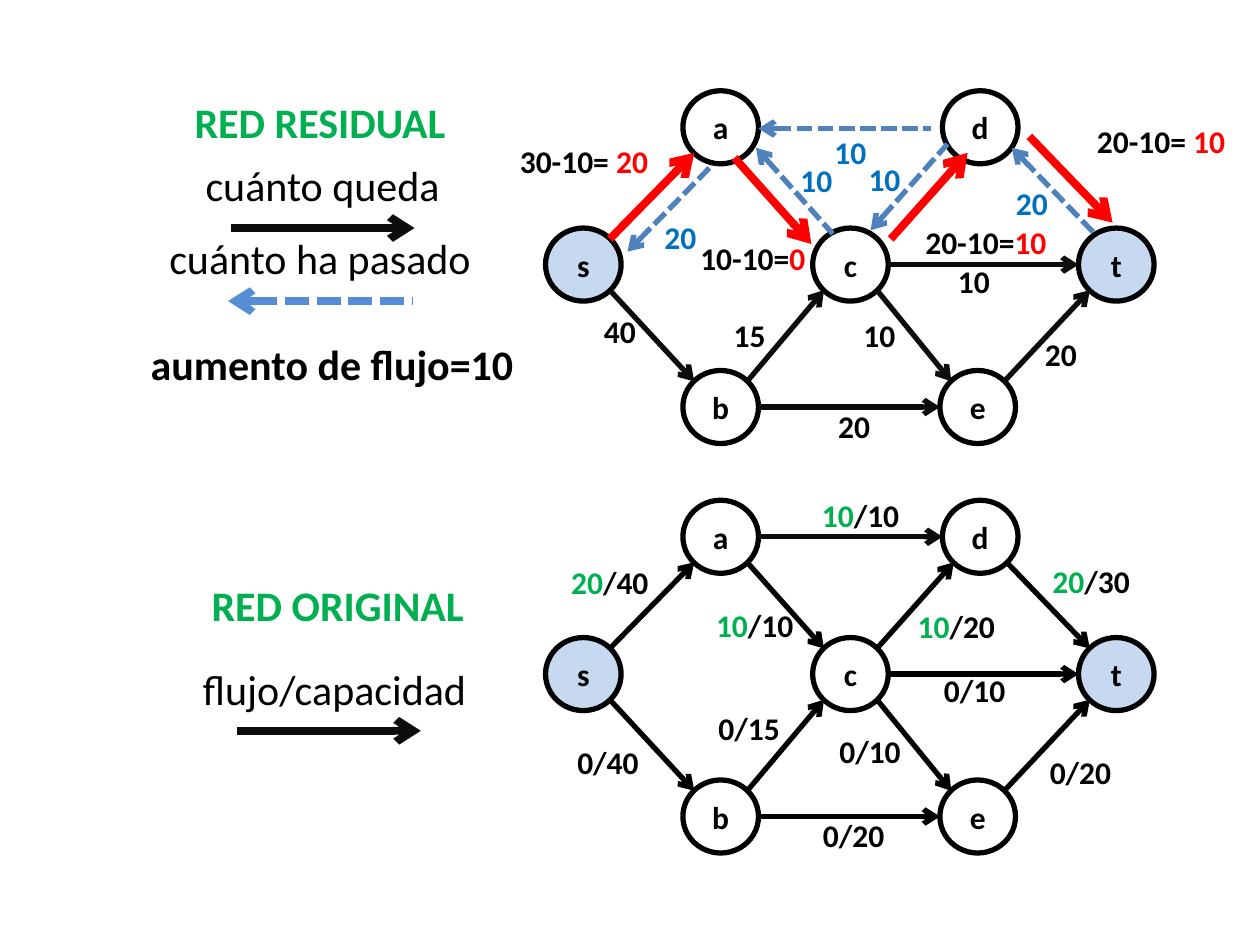
from lxml import etree
from pptx import Presentation, util as u
from pptx.dml.color import RGBColor
from pptx.enum import dml, shapes, text
from pptx.oxml.ns import qn

COLORS = {
    "black": "000000", "ink": "0D0D0D", "green": "00B050", "red": "FF0000",
    "blue": "0070C0", "dash": "4F81BD", "sky": "558ED5", "pale": "C6D9F1",
}
COLUMNS, ROWS = 100, 75
WIDTH, HEIGHT = u.Inches(10), u.Inches(7.5)
NODE_W, NODE_H = 6, 5.8
NODES = {
    "s": (0, 10.9), "b": (10.9, 22.2), "e": (31.3, 22.2), "t": (42.3, 10.9),
    "d": (31.5, 0), "a": (10.9, 0), "c": (21.2, 10.9),
}
LABEL_WIDTHS = {2: 4.6, 4: 6.9, 5: 8.2, 7: 10.5, 8: 11.7, 9: 12.3}

ORIGINAL_EDGES = [(pair, "black", 3, 0, 0) for pair in
                  "sa sb be dt et ct ac ce bc cd".split()] + [("ad", "ink", 3, 0, 0)]
ORIGINAL_LABELS = [
    (20.9, -0.8, "green:10|black:/10"), (1, 4.5, "green:20|black:/40"),
    (39.2, 4.4, "green:20|black:/30"), (12.5, 7.9, "green:10|black:/10"),
    (28.5, 8, "green:10|black:/20"), (30.6, 13.1, "black:0/10"),
    (39, 19.6, "black:0/20"), (1.5, 18.8, "black:0/40"),
    (21, 24.6, "black:0/20"), (12.7, 16.1, "black:0/15"),
    (22.3, 17.9, "black:0/10"),
]
RESIDUAL_EDGES = [(pair, "ink", 3, 0, 0) for pair in "sb be et ct ce bc".split()] + [
    ("sa", "red", 4.5, 0, 0), ("dt", "red", 4.5, 1.8, -1.3),
    ("ac", "red", 4.5, -1, 0.4), ("cd", "red", 4.5, 1.1, 0),
    ("sa", "dash", 3, 1.4, 1), ("dt", "dash", 3, 0.4, -0.4),
    ("ac", "dash", 3, 0.7, -0.4), ("cd", "dash", 3, -0.5, -0.7),
]
RESIDUAL_LABELS = [
    (-3.1, 3.6, "black:30-10= |red:20"), (42.7, 2, "black:20-10= |red:10"),
    (11.2, 11.3, "black:10-10=|red:0"), (29.1, 10, "black:20-10=|red:10"),
    (31.7, 13.1, "black:10"), (38.6, 18.9, "black:20"), (3.6, 17.1, "black:40"),
    (22.2, 24.6, "black:20"), (13.9, 17.4, "black:15"), (24.2, 17.4, "black:10"),
    (8.4, 9.6, "blue:20"), (21.9, 2.9, "blue:10"), (36.3, 6.9, "blue:20"),
    (19.2, 5.1, "blue:10"), (24.6, 5, "blue:10"),
]


def col(count):
    """Turn grid columns into a length."""
    return u.Emu(round(WIDTH * count / COLUMNS))


def row(count):
    """Turn grid rows into a length."""
    return u.Emu(round(HEIGHT * count / ROWS))


def rgb(name):
    """Look up a named colour."""
    return RGBColor.from_string(COLORS[name])


def write(frame, spans, size, bold):
    """Write centred runs given as colour:words parts split by bars."""
    para = frame.paragraphs[0]
    para.alignment = text.PP_ALIGN.CENTER
    for part in spans.split("|"):
        color, words = part.split(":")
        span = para.add_run()
        span.text = words
        span.font.name, span.font.size, span.font.bold = "Calibri", u.Pt(size), bold
        span.font.color.rgb = rgb(color)


def add_text(canvas, left, top, width, height, spans, size=18, bold=True):
    """Place one line of text."""
    box = canvas.add_textbox(col(left), row(top), col(width), row(height))
    box.text_frame.word_wrap = False
    box.text_frame.auto_size = text.MSO_AUTO_SIZE.SHAPE_TO_FIT_TEXT
    write(box.text_frame, spans, size, bold)


def add_arrow(canvas, start, end, color, weight):
    """Draw a solid forward arrow, or a dashed one pointing back to its start."""
    line = canvas.add_connector(shapes.MSO_CONNECTOR.STRAIGHT, col(start[0]), row(start[1]),
                                col(end[0]), row(end[1]))
    line.line.color.rgb, line.line.width = rgb(color), u.Pt(weight)
    backward = color in ("dash", "sky")
    if backward:
        line.line.dash_style = dml.MSO_LINE.SQUARE_DOT
        line.line._ln.find(qn("a:prstDash")).set("val", "sysDash")
    tip = etree.SubElement(line.line._ln, qn("a:headEnd" if backward else "a:tailEnd"))
    tip.set("type", "arrow")
    etree.SubElement(line._element.spPr, qn("a:effectLst"))


def add_node(canvas, left, top, name):
    """Draw a lettered node, tinted for the source and the sink."""
    node = canvas.add_shape(shapes.MSO_SHAPE.OVAL, col(left), row(top), col(NODE_W), row(NODE_H))
    node.shadow.inherit = False
    if name in "st":
        node.fill.solid()
        node.fill.fore_color.rgb = rgb("pale")
    else:
        node.fill.background()
    node.line.color.rgb, node.line.width = rgb("black"), u.Pt(3)
    node.text_frame.word_wrap = False
    node.text_frame.vertical_anchor = text.MSO_ANCHOR.MIDDLE
    write(node.text_frame, f"black:{name}", 18, True)


def rim_point(name, toward):
    """Find where an edge toward another node leaves a node's rim."""
    (x, y), (far_x, far_y) = NODES[name], NODES[toward]
    across, down = (far_x > x) - (far_x < x), (far_y > y) - (far_y < y)
    reach = 0.35 if down else 0.5
    return x + NODE_W * (0.5 + reach * across), y + NODE_H * (0.5 + reach * down)


def add_network(canvas, left, top, edges, labels):
    """Draw the flow network with its edges and labels from a corner."""
    for name, (x, y) in NODES.items():
        add_node(canvas, left + x, top + y, name)
    for (first, last), color, weight, shift_x, shift_y in edges:
        ends = [(left + x + shift_x, top + y + shift_y)
                for x, y in (rim_point(first, last), rim_point(last, first))]
        add_arrow(canvas, *ends, color, weight)
    for x, y, spans in labels:
        length = sum(len(part.split(":")[1]) for part in spans.split("|"))
        add_text(canvas, left + x, top + y, LABEL_WIDTHS[length], 4, spans)


def add_legend(canvas, left, top, entries, arrows):
    """Place headings and sample arrows from a corner."""
    for x, y, width, spans, bold in entries:
        add_text(canvas, left + x, top + y, width, 5, spans, 24, bold)
    for x, y, color in arrows:
        add_arrow(canvas, (left + x, top + y), (left + x + 14.6, top + y), color, 4.5)


def main():
    """Build the slide with the residual and the original network."""
    deck = Presentation()
    deck.slide_width, deck.slide_height = WIDTH, HEIGHT
    page = deck.slides.add_slide(deck.slide_layouts[6])

    original = page.shapes.add_group_shape().shapes
    add_network(original, 43.3, 39.7, ORIGINAL_EDGES, ORIGINAL_LABELS)
    add_legend(original, 14.7, 45.5, [
        (0, 0, 24.2, "green:RED ORIGINAL", True),
        (0.3, 6.7, 23.1, "black:flujo/capacidad", False),
    ], [(4.1, 12.5, "ink")])

    residual = page.shapes.add_group_shape().shapes
    add_network(residual, 43.3, 7.2, RESIDUAL_EDGES, RESIDUAL_LABELS)
    add_arrow(residual, (60.2, 10.2), (73.9, 10.2), "dash", 3)
    add_legend(residual, 10.8, 7.2, [
        (2.5, 0, 24.2, "green:RED RESIDUAL", True),
        (4.4, 5, 20.8, "black:cuánto queda", False),
        (1.5, 10.8, 26.2, "black:cuánto ha pasado", False),
        (0, 19.2, 31.1, "black:aumento de flujo=10", True),
    ], [(7.5, 10.9, "ink"), (7.3, 16.7, "sky")])
    deck.save("out.pptx")


if __name__ == "__main__":
    main()
